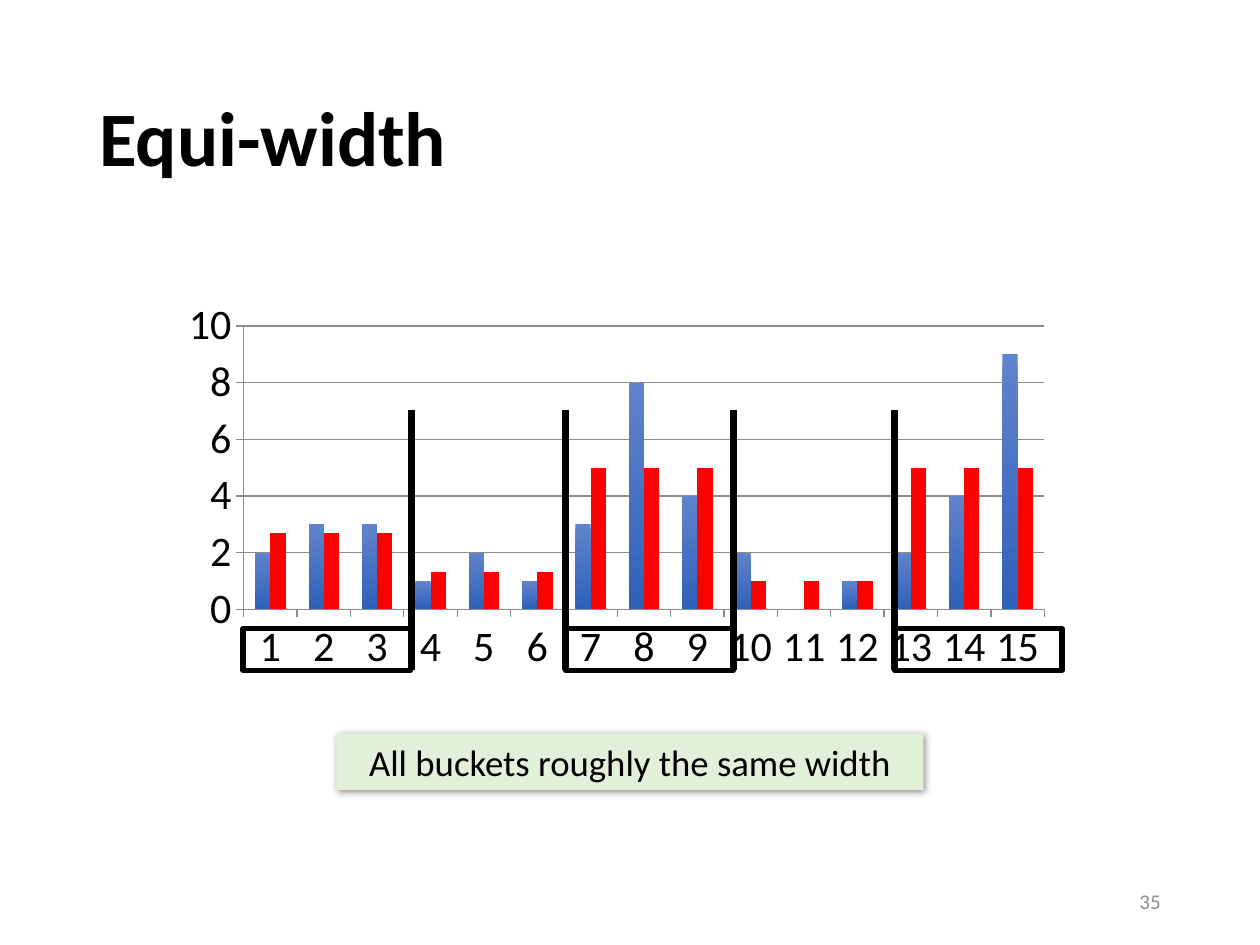
from lxml import etree
from pptx import Presentation
from pptx.chart.data import CategoryChartData
from pptx.dml.color import RGBColor
from pptx.enum import chart as ch, shapes as sh, text as tx
from pptx.oxml import parse_xml
from pptx.oxml.ns import qn, nsdecls
from pptx.util import Inches, Pt

FONT = "Calibri"
BLACK = RGBColor(0, 0, 0)
GRAY = RGBColor(0x8C, 0x8C, 0x8C)
RED = RGBColor(0xFF, 0, 0)
BLUE_TOP = RGBColor(0x60, 0x83, 0xCB)
BLUE_LOW = RGBColor(0x2E, 0x61, 0xBA)
GREEN = RGBColor(0xE2, 0xF0, 0xD9)

TITLE = "Equi-width"
NOTE = "All buckets roughly the same width"
NUMBER = "35"
COUNTS = [2, 3, 3, 1, 2, 1, 3, 8, 4, 2, 0, 1, 2, 4, 9]
MEANS = [2.7, 1.3, 5, 1, 5]  # one per bucket
WIDTH = 3  # values in a bucket

BOXES = [1.93, 4.49, 7.1]
CUTS = [3.27, 4.49, 5.82, 7.1]
BOX_TOP, BOX_W, BOX_H = 4.99, 1.33, 0.33
CUT_TOP = 3.25

PLOT = {"x": 0.08, "y": 0.087, "w": 0.9, "h": 0.73}  # shares of the chart


def write(shape, words, size, color=BLACK, bold=False,
          align=tx.PP_ALIGN.LEFT, anchor=tx.MSO_ANCHOR.MIDDLE):
    frame = shape.text_frame
    frame.word_wrap = True
    frame.vertical_anchor = anchor
    frame.text = words
    para = frame.paragraphs[0]
    para.alignment = align
    font = para.runs[0].font
    font.name, font.size, font.bold = FONT, Pt(size), bold
    font.color.rgb = color
    return para


def add_box(slide, *place):
    box = slide.shapes.add_shape(sh.MSO_SHAPE.RECTANGLE, *map(Inches, place))
    box.shadow.inherit = False
    return box


def add_bars(slide):
    data = CategoryChartData()
    data.categories = [str(n + 1) for n in range(len(COUNTS))]
    data.add_series("Series 1", COUNTS)
    data.add_series("Series 2", [m for m in MEANS for _ in range(WIDTH)])
    chart = slide.shapes.add_chart(
        ch.XL_CHART_TYPE.COLUMN_CLUSTERED, Inches(1.37), Inches(2.32),
        Inches(7.06), Inches(3.08), data).chart
    chart.has_legend = chart.has_title = False
    chart.font.name, chart.font.size = FONT, Pt(10)
    chart.font.color.rgb = BLACK

    for axis in (chart.category_axis, chart.value_axis):
        axis.tick_labels.font.size = Pt(24)
        axis.major_tick_mark = ch.XL_TICK_MARK.OUTSIDE
        axis.format.line.color.rgb = GRAY
        axis.format.line.width = Pt(0.75)
    axis = chart.value_axis
    axis.minimum_scale, axis.maximum_scale, axis.major_unit = 0, 10, 2
    axis.has_major_gridlines = True
    axis.major_gridlines.format.line.color.rgb = GRAY
    axis.major_gridlines.format.line.width = Pt(0.75)

    plot = chart.plots[0]
    plot.gap_width, plot.overlap, plot.vary_by_categories = 150, 0, False
    counts, means = plot.series
    fill = counts.format.fill
    fill.gradient()
    fill.gradient_angle = 270
    for stop, color, spot in zip(fill.gradient_stops, (BLUE_TOP, BLUE_LOW), (0, 1)):
        stop.color.rgb, stop.position = color, spot
    means.format.fill.solid()
    means.format.fill.fore_color.rgb = RED

    area = chart._chartSpace.chart.plotArea
    for old in area.findall(qn("c:layout")):
        area.remove(old)
    layout = etree.Element(qn("c:layout"))
    manual = etree.SubElement(layout, qn("c:manualLayout"))
    parts = {"layoutTarget": "inner", "xMode": "edge", "yMode": "edge", **PLOT}
    for tag, val in parts.items():
        etree.SubElement(manual, qn("c:" + tag)).set("val", str(val))
    area.insert(0, layout)


def add_buckets(slide):
    for left in BOXES:
        box = add_box(slide, left, BOX_TOP, BOX_W, BOX_H)
        box.fill.background()
        box.line.color.rgb, box.line.width = BLACK, Pt(3)
    for x in CUTS:
        cut = slide.shapes.add_connector(
            sh.MSO_CONNECTOR.STRAIGHT, Inches(x), Inches(BOX_TOP + BOX_H),
            Inches(x), Inches(CUT_TOP))
        cut.line.color.rgb, cut.line.width = BLACK, Pt(4)
        etree.SubElement(cut._element.spPr, qn("a:effectLst"))


def add_note(slide):
    note = add_box(slide, 2.67, 5.82, 4.66, 0.45)
    note.fill.solid()
    note.fill.fore_color.rgb = GREEN
    note.line.fill.background()
    write(note, NOTE, 21, align=tx.PP_ALIGN.CENTER, anchor=tx.MSO_ANCHOR.TOP)
    note._element.spPr.find(qn("a:effectLst")).append(parse_xml(
        f'<a:outerShdw {nsdecls("a")} blurRad="{Pt(4)}" dist="{Pt(1)}" dir="2700000"'
        ' algn="tl" rotWithShape="0"><a:srgbClr val="000000">'
        '<a:alpha val="40000"/></a:srgbClr></a:outerShdw>'))


def main():
    deck = Presentation()
    deck.slide_width, deck.slide_height = Inches(10), Inches(7.5)
    slide = deck.slides.add_slide(deck.slide_layouts[6])
    title = slide.shapes.add_textbox(*map(Inches, (0.69, 0.4, 8.62, 1.45)))
    write(title, TITLE, 44, bold=True).line_spacing = 0.9
    add_bars(slide)
    add_buckets(slide)
    add_note(slide)
    number = slide.shapes.add_textbox(*map(Inches, (7.06, 6.95, 2.25, 0.4)))
    write(number, NUMBER, 12, GRAY, align=tx.PP_ALIGN.RIGHT)
    deck.save("out.pptx")


if __name__ == "__main__":
    main()
